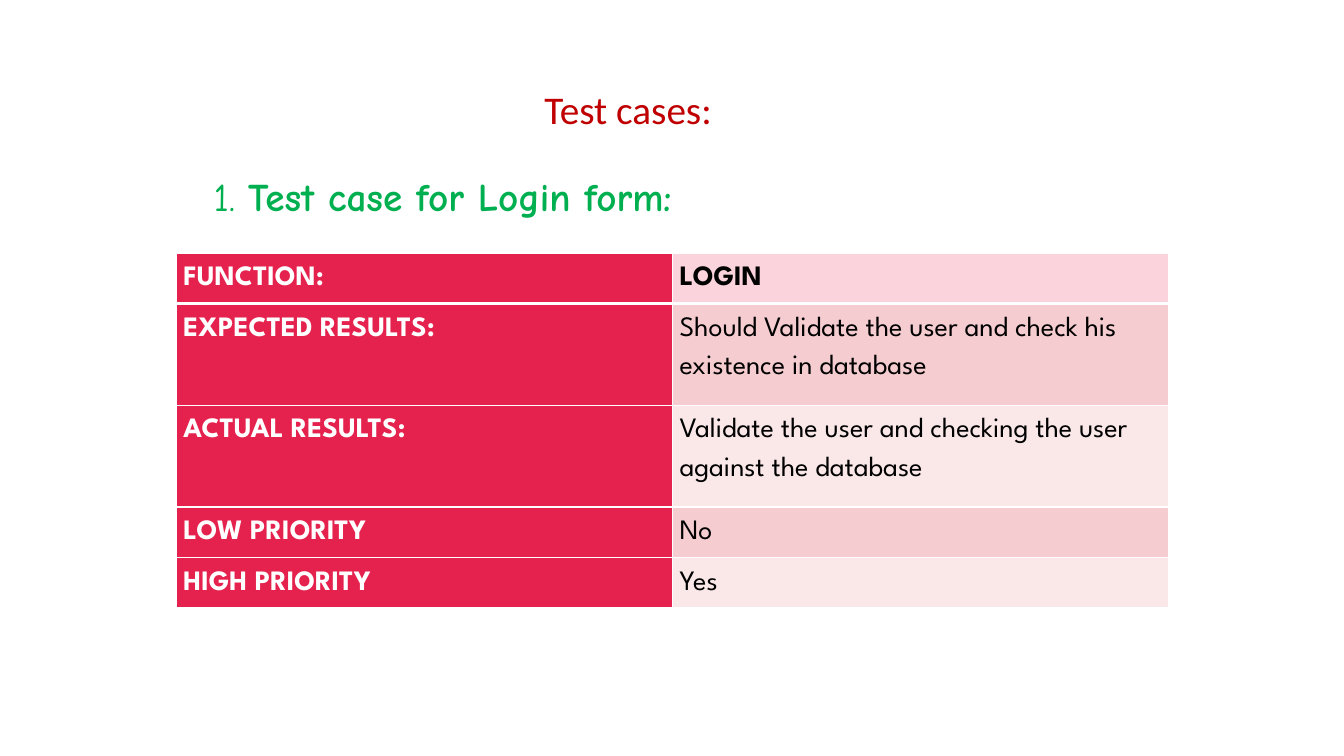
"""Build a slide with the test case table for a login form."""
from dataclasses import dataclass

from lxml.etree import SubElement
from pptx import Presentation
from pptx.dml.color import RGBColor
from pptx.enum.text import MSO_AUTO_SIZE as AutoSize
from pptx.oxml.ns import qn
from pptx.util import Emu, Pt

PX = 9144
COLORS = {
    "title": "C00000",
    "heading": "00B050",
    "label": "E5224E",
    "header": "FAD3DC",
    "odd": "F5CDD0",
    "even": "FAE8E9",
    "light": "FFFFFF",
    "dark": "000000",
}
TABLE_LEFT, TABLE_TOP, COLUMN_WIDTH = 175, 251, 492
CELL_MARGIN = 7
THIN, THICK = 1, 3


@dataclass(frozen=True)
class Run:
    text: str
    bold: bool = False


@dataclass(frozen=True)
class Heading:
    left: int
    top: int
    width: int
    height: int
    font: str
    color: str
    runs: tuple[Run, ...]


@dataclass(frozen=True)
class TestRow:
    label: str
    value: str
    height: int


HEADINGS = (
    Heading(530, 80, 273, 57, "Calibri", "title", (Run("Test cases:"),)),
    Heading(189, 166, 512, 57, "Comic Neue", "heading",
            (Run(" 1. "), Run("Test case for Login form:", True))),
)
TEST_ROWS = (
    TestRow("FUNCTION:", "LOGIN", 48),
    TestRow("EXPECTED RESULTS:",
            "Should Validate the user and check his existence in database", 101),
    TestRow("ACTUAL RESULTS:",
            "Validate the user and checking the user against the database", 101),
    TestRow("LOW PRIORITY", "No", 48),
    TestRow("HIGH PRIORITY", "Yes", 48),
)


def px(length: int) -> Emu:
    return Emu(length * PX)


def rgb(name: str) -> RGBColor:
    return RGBColor.from_string(COLORS[name])


def draw_heading(slide, heading: Heading) -> None:
    box = slide.shapes.add_textbox(px(heading.left), px(heading.top),
                                   px(heading.width), px(heading.height))
    frame = box.text_frame
    frame.word_wrap = True
    frame.auto_size = AutoSize.SHAPE_TO_FIT_TEXT
    paragraph = frame.paragraphs[0]
    paragraph.font.name = heading.font
    paragraph.font.size = Pt(28)
    paragraph.font.color.rgb = rgb(heading.color)
    for part in heading.runs:
        run = paragraph.add_run()
        run.text = part.text
        run.font.bold = part.bold


def add_borders(cell, top: int, bottom: int) -> None:
    properties = cell._tc.get_or_add_tcPr()
    for side, width in (("L", THIN), ("R", THIN), ("T", top), ("B", bottom)):
        line = SubElement(properties, qn(f"a:ln{side}"), w=str(Pt(width)))
        fill = SubElement(line, qn("a:solidFill"))
        SubElement(fill, qn("a:srgbClr"), val=COLORS["light"])


def draw_cell(cell, text: str, fill: str, color: str, bold: bool) -> None:
    cell.fill.solid()
    cell.fill.fore_color.rgb = rgb(fill)
    cell.margin_left = cell.margin_right = px(CELL_MARGIN)
    cell.margin_top = cell.margin_bottom = 0
    cell.text = text
    paragraph = cell.text_frame.paragraphs[0]
    paragraph.line_spacing = 1.5
    paragraph.space_after = Pt(10)
    paragraph.font.name = "League Spartan"
    paragraph.font.size = Pt(20)
    paragraph.font.bold = bold
    paragraph.font.color.rgb = rgb(color)


def draw_table(slide, rows: tuple[TestRow, ...]) -> None:
    height = sum(row.height for row in rows)
    table = slide.shapes.add_table(len(rows), 2, px(TABLE_LEFT), px(TABLE_TOP),
                                   px(2 * COLUMN_WIDTH), px(height)).table
    for column in table.columns:
        column.width = px(COLUMN_WIDTH)
    for index, row in enumerate(rows):
        table.rows[index].height = px(row.height)
        label, value = table.cell(index, 0), table.cell(index, 1)
        is_header = index == 0
        band = "header" if is_header else "odd" if index % 2 else "even"
        for cell in (label, value):
            add_borders(cell, THICK if index == 1 else THIN,
                        THICK if is_header else THIN)
        draw_cell(label, row.label, "label", "light", True)
        draw_cell(value, row.value, band, "dark", is_header)


def main() -> None:
    presentation = Presentation()
    presentation.slide_width, presentation.slide_height = px(1333), px(750)
    slide = presentation.slides.add_slide(presentation.slide_layouts[6])
    for heading in HEADINGS:
        draw_heading(slide, heading)
    draw_table(slide, TEST_ROWS)
    presentation.save("out.pptx")


if __name__ == "__main__":
    main()
